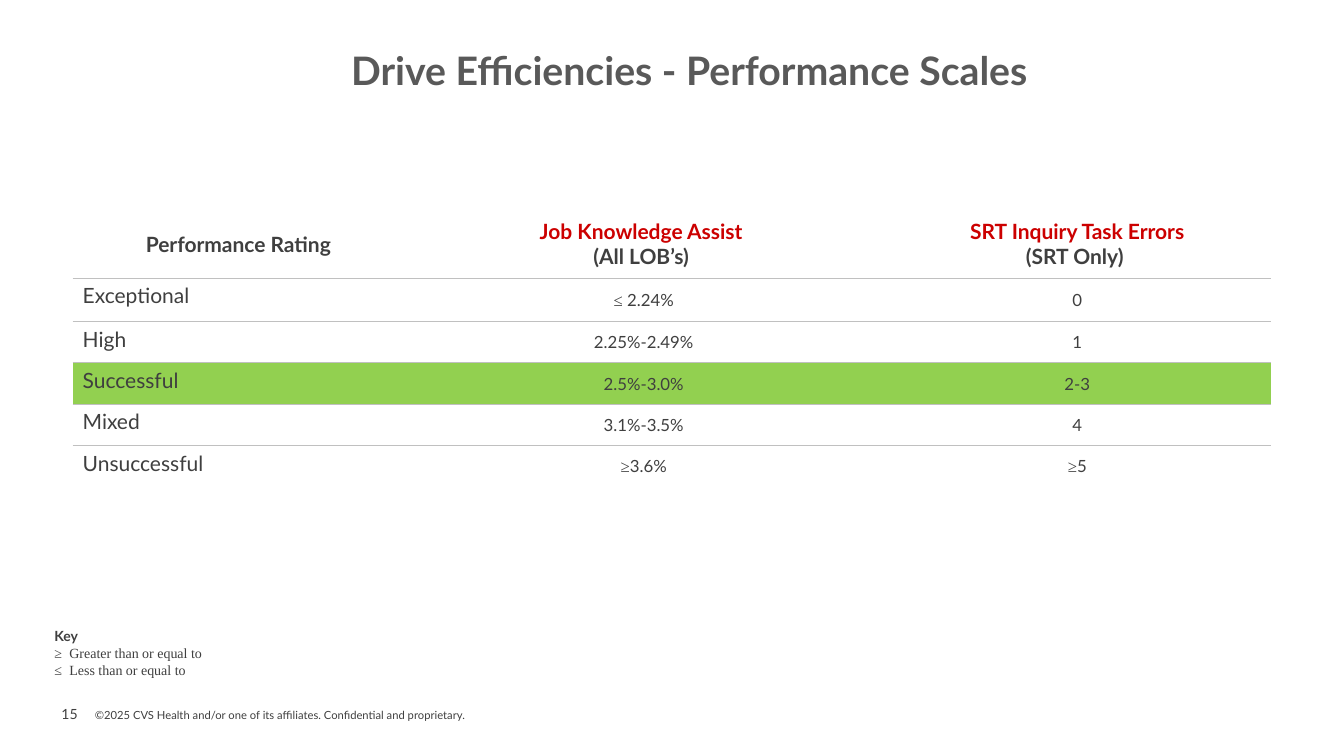
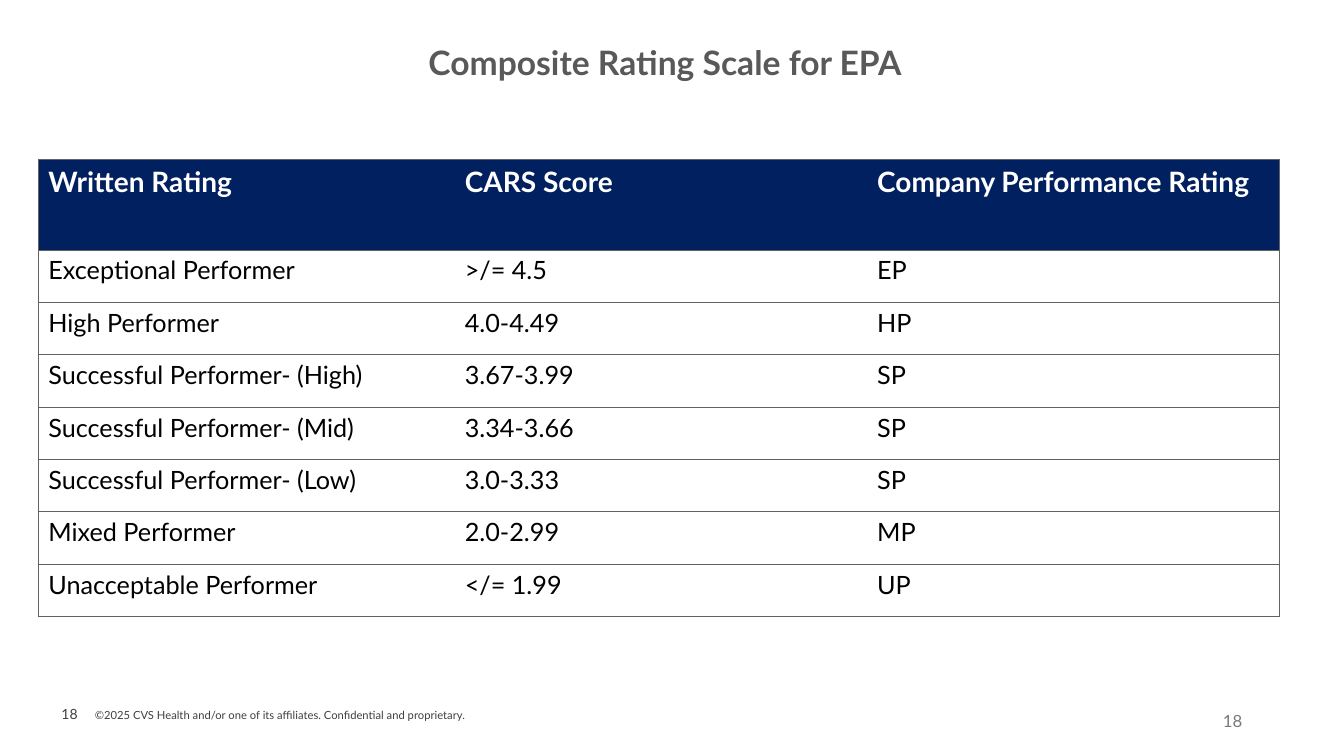
from lxml.etree import SubElement as Sub
from pptx import Presentation as Deck
from pptx.dml.color import RGBColor as Rgb
from pptx.enum.text import MSO_ANCHOR as Anchor, PP_ALIGN as Align
from pptx.oxml.ns import qn
from pptx.util import Inches, Pt

INK = {
    "title": "595959", "text": "3F3F3F", "red": "CC0000", "green": "92D050",
    "rule": "C0C0C0", "navy": "002060", "grid": "626262", "pale": "797979",
    "white": "FFFFFF", "black": "000000",
}
SANS, SERIF = "Lato", "Times New Roman"
SIGNS = "≤≥"
NOTICE = "©2025 CVS Health and/or one of its affiliates. Confidential and proprietary."


def style(par, size, ink="text", bold=False, align=Align.LEFT, face=SANS):
    par.alignment = align
    font = par.font
    font.name, font.size, font.bold = face, Pt(size), bold
    font.color.rgb = Rgb.from_string(INK[ink])


def write(par, text, size, **look):
    if text[0] in SIGNS and look.get("face", SANS) == SANS:
        par.add_run().text = text[0]
        par.runs[0].font.name = SERIF
        text = text[1:]
    par.add_run().text = text
    style(par, size, **look)


def add_tab(par, stop):
    tabs = Sub(par._p.get_or_add_pPr(), qn("a:tabLst"))
    Sub(tabs, qn("a:tab"), pos=str(Inches(stop)), algn="l")


def add_box(slide, place, inset=(0, 0), anchor=Anchor.TOP):
    frame = slide.shapes.add_textbox(*map(Inches, place)).text_frame
    frame.word_wrap = True
    frame.vertical_anchor = anchor
    frame.margin_left = frame.margin_right = Inches(inset[0])
    frame.margin_top = frame.margin_bottom = Inches(inset[1])
    return frame


def add_line(slide, place, text, size, inset=(0, 0), anchor=Anchor.TOP, **look):
    frame = add_box(slide, place, inset, anchor)
    write(frame.paragraphs[0], text, size, **look)
    return frame


def add_page(deck, number, title, place, size, anchor):
    slide = deck.slides.add_slide(deck.slide_layouts[6])
    add_line(slide, (0.61, 6.96, 0.39, 0.25), str(number), 10, (0, 0.05), Anchor.MIDDLE)
    add_line(slide, (0.94, 7.03, 8.8, 0.13), NOTICE, 8, anchor=Anchor.BOTTOM)
    frame = add_line(slide, place, title, size, anchor=anchor,
                     ink="title", bold=True, align=Align.CENTER)
    return slide, frame.paragraphs[0]


def add_grid(slide, left, top, wides, highs):
    place = map(Inches, (left, top, sum(wides), sum(highs)))
    table = slide.shapes.add_table(len(highs), len(wides), *place).table
    table.first_row = table.horz_banding = False
    for col, wide in zip(table.columns, wides):
        col.width = Inches(wide)
    for row, high in zip(table.rows, highs):
        row.height = Inches(high)
    return table


def edge(cell, sides, ink, width):
    props = cell._tc.get_or_add_tcPr()
    for side in "LRTB":
        line = Sub(props, qn("a:ln" + side), w=str(Pt(width)))
        if side in sides:
            fill = Sub(line, qn("a:solidFill"))
            Sub(fill, qn("a:srgbClr"), val=INK[ink])
        else:
            Sub(line, qn("a:noFill"))


def paint(cell, ink=None):
    if ink:
        cell.fill.solid()
        cell.fill.fore_color.rgb = Rgb.from_string(INK[ink])
    else:
        cell.fill.background()


def add_key(slide):
    frame = add_line(slide, (0.44, 6.18, 2.28, 0.61), "Key", 10, (0.1, 0.05), bold=True)
    for text in ("≥\tGreater than or equal to", "≤\tLess than or equal to"):
        par = frame.add_paragraph()
        add_tab(par, 0.15)
        write(par, text, 10, face=SERIF)


def add_scales(deck):
    slide, par = add_page(deck, 15, "Drive Efficiencies - Performance Scales",
                          (0.61, 0.33, 12.45, 0.78), 28, Anchor.MIDDLE)
    par.line_spacing = 0.9
    heads = [
        [("Performance Rating", "text")],
        [("Job Knowledge Assist ", "red"), ("(All LOB’s) ", "text")],
        [("SRT Inquiry Task Errors", "red"), ("(SRT Only) ", "text")],
    ]
    rows = [
        ("Exceptional", "≤ 2.24%", "0"),
        ("High", "2.25%-2.49%", "1"),
        ("Successful", "2.5%-3.0%", "2-3"),
        ("Mixed", "3.1%-3.5%", "4"),
        ("Unsuccessful", "≥3.6%", "≥5"),
    ]
    table = add_grid(slide, 0.72, 2.08, (3.29, 4.75, 3.85), [0.68, 0.43] + [0.41] * 4)
    for c, lines in enumerate(heads):
        cell = table.cell(0, c)
        edge(cell, "B", "rule", 1)
        paint(cell)
        cell.vertical_anchor = Anchor.MIDDLE
        frame = cell.text_frame
        for i, (text, ink) in enumerate(lines):
            par = frame.add_paragraph() if i else frame.paragraphs[0]
            write(par, text, 15, ink=ink, bold=True, align=Align.CENTER)
    for r, row in enumerate(rows, 1):
        for c, text in enumerate(row):
            cell = table.cell(r, c)
            edge(cell, "T" if r == len(rows) else "TB", "rule", 1)
            paint(cell, "green" if row[0] == "Successful" else None)
            cell.vertical_anchor = Anchor.MIDDLE if c else Anchor.TOP
            write(cell.text_frame.paragraphs[0], text, 12 if c else 15,
                  align=Align.CENTER if c else Align.LEFT)
    add_key(slide)


def add_ratings(deck):
    slide, _ = add_page(deck, 18, "Composite Rating Scale for EPA",
                        (0.3, 0.42, 12.59, 0.78), 24, Anchor.TOP)
    add_line(slide, (9.42, 6.95, 3, 0.4), "18", 12, (0.1, 0.05), Anchor.MIDDLE,
             ink="pale", align=Align.RIGHT)
    rows = [
        ("Written Rating", "CARS Score", "Company Performance Rating"),
        ("Exceptional Performer", ">/= 4.5", "EP"),
        ("High Performer", "4.0-4.49", "HP"),
        ("Successful Performer- (High)", "3.67-3.99", "SP"),
        ("Successful Performer- (Mid)", "3.34-3.66", "SP"),
        ("Successful Performer- (Low)", "3.0-3.33", "SP"),
        ("Mixed Performer", "2.0-2.99", "MP"),
        ("Unacceptable Performer", "</= 1.99", "UP"),
    ]
    table = add_grid(slide, 0.38, 1.58, (4.13, 4.09, 4.09), [0.9] + [0.52] * 7)
    sides = ("LTB", "TB", "RTB")
    for r, row in enumerate(rows):
        for c, text in enumerate(row):
            cell = table.cell(r, c)
            edge(cell, sides[c], "grid", 0.75)
            paint(cell, None if r else "navy")
            write(cell.text_frame.paragraphs[0], text, 18 if r else 20,
                  ink="black" if r else "white", bold=not r)


def main():
    deck = Deck()
    deck.slide_width, deck.slide_height = Inches(13.33), Inches(7.5)
    add_scales(deck)
    add_ratings(deck)
    deck.save("out.pptx")


if __name__ == "__main__":
    main()
